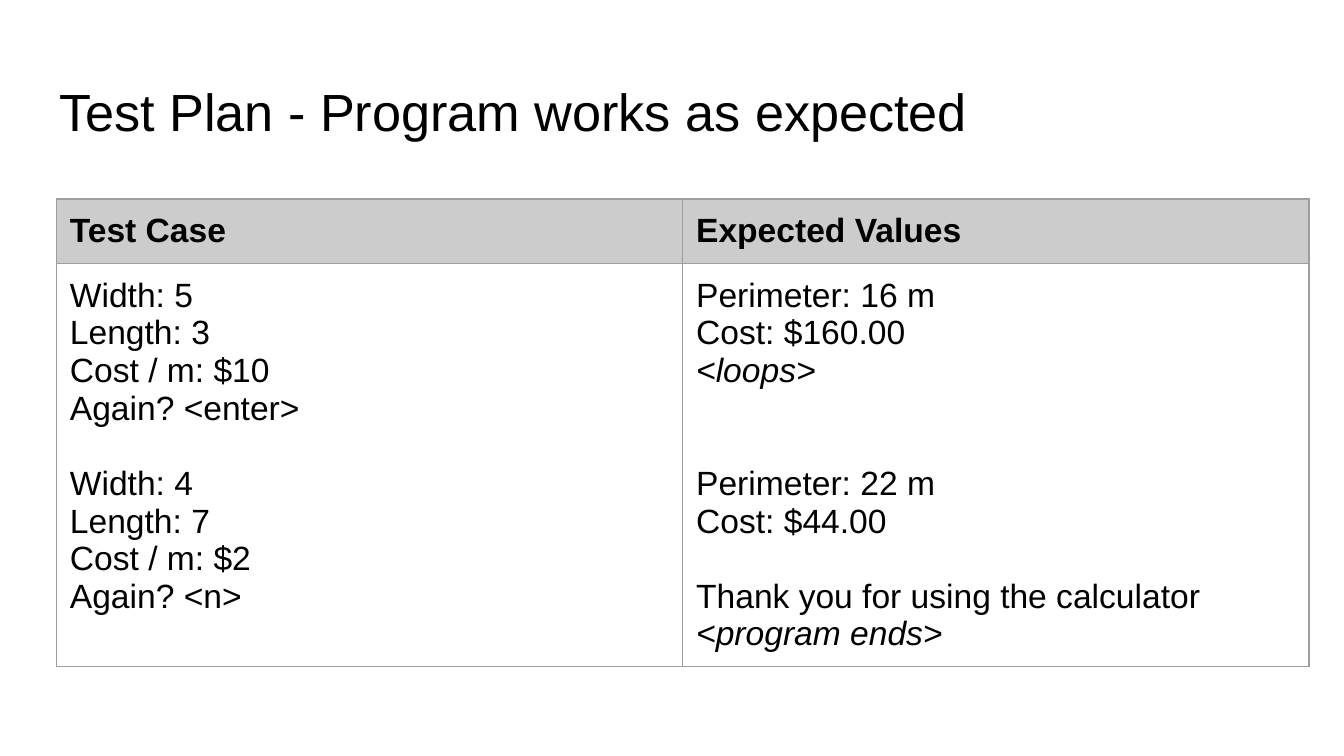
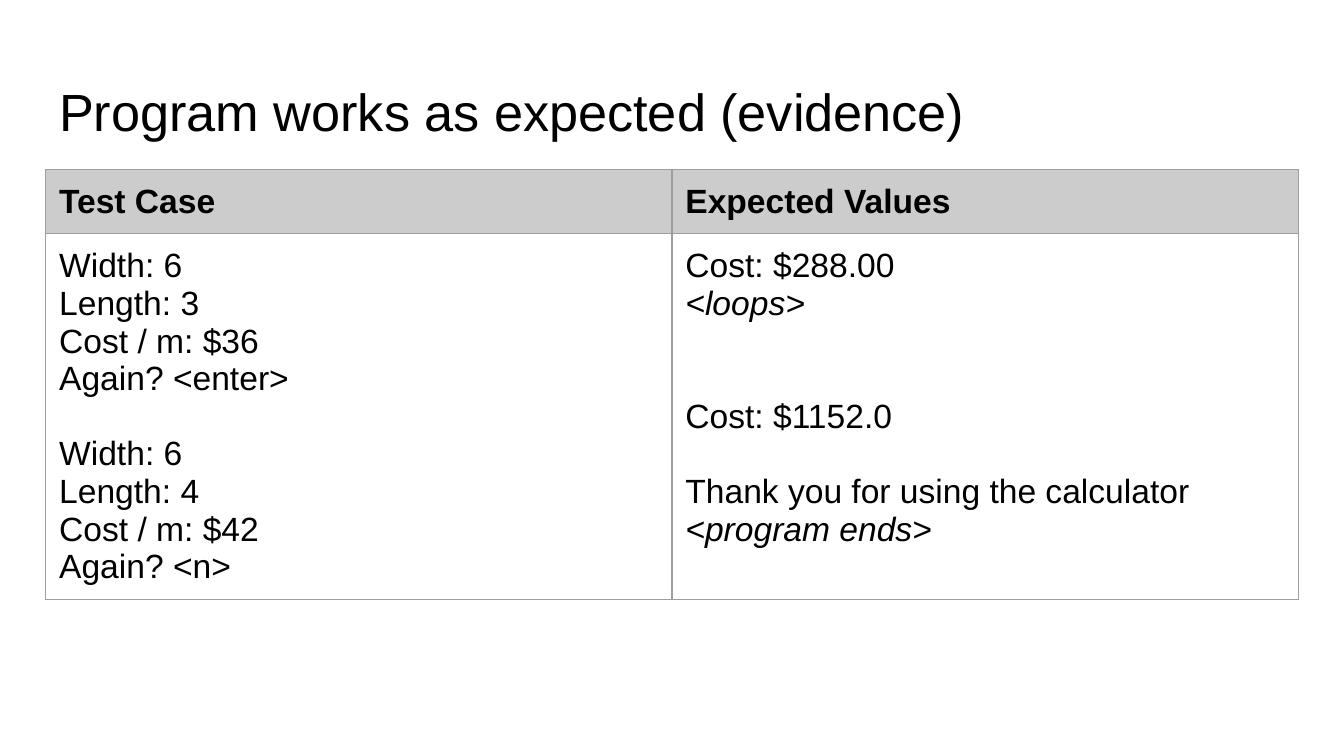
import pptx
import pptx.dml.color
import pptx.enum.text
import pptx.oxml
import pptx.oxml.ns
import pptx.util
from pptx.util import Inches

COLORS = {"text": "000000", "header": "CCCCCC", "border": "9E9E9E"}
FONT = "Arial"
TITLE_SIZE = 28
CELL_SIZE = 18
LINE_HEIGHT = 20.15  # points per line of table text
BORDER_WIDTH = 0.75
INSET = Inches(0.1)
HEADINGS = ("Test Case", "Expected Values")


def rgb(name):
    return pptx.dml.color.RGBColor.from_string(COLORS[name])


def style_paragraph(paragraph, size, bold=False, italic=False):
    paragraph.alignment = pptx.enum.text.PP_ALIGN.LEFT
    for run in paragraph.runs:
        run.font.name = FONT
        run.font.size = pptx.util.Pt(size)
        run.font.bold = bold
        run.font.italic = italic
        run.font.color.rgb = rgb("text")


def set_insets(target):
    target.margin_left = target.margin_right = INSET
    target.margin_top = target.margin_bottom = INSET


def add_title(slide, text):
    title = slide.shapes.title
    title.left, title.top = Inches(0.34), Inches(0.49)
    title.width, title.height = Inches(9.32), Inches(0.63)
    frame = title.text_frame
    frame.text = text
    frame.word_wrap = True
    frame.auto_size = pptx.enum.text.MSO_AUTO_SIZE.NONE
    frame.vertical_anchor = pptx.enum.text.MSO_ANCHOR.TOP
    set_insets(frame)
    style_paragraph(frame.paragraphs[0], TITLE_SIZE)


def add_borders(cell):
    properties = cell._tc.get_or_add_tcPr()
    for position, side in enumerate(("lnL", "lnR", "lnT", "lnB")):
        line = pptx.oxml.parse_xml(
            f'<a:{side} {pptx.oxml.ns.nsdecls("a")} w="{pptx.util.Pt(BORDER_WIDTH)}">'
            f'<a:solidFill><a:srgbClr val="{COLORS["border"]}"/></a:solidFill>'
            f'</a:{side}>'
        )
        properties.insert(position, line)


def fill_cell(cell, lines, header=False):
    """Each line is a text, or a pair of text and number of lines left free above."""
    set_insets(cell)
    cell.vertical_anchor = pptx.enum.text.MSO_ANCHOR.TOP
    if header:
        cell.fill.solid()
        cell.fill.fore_color.rgb = rgb("header")
    else:
        cell.fill.background()
    add_borders(cell)

    frame = cell.text_frame
    for index, line in enumerate(lines):
        text, gap = line if isinstance(line, tuple) else (line, 0)
        paragraph = frame.add_paragraph() if index else frame.paragraphs[0]
        paragraph.text = text
        if gap:
            paragraph.space_before = pptx.util.Pt(gap * LINE_HEIGHT)
        # Program actions such as <loops> are set in italics
        style_paragraph(paragraph, CELL_SIZE, bold=header, italic=text.startswith("<"))


def add_test_table(slide, left, top, inputs, expected):
    table = slide.shapes.add_table(
        2, 2, Inches(left), Inches(top), Inches(9.32), Inches(0.84)
    ).table
    table.first_row = False
    table.horz_banding = False
    # The rows grow with their text
    table.rows[0].height = Inches(0.41)
    table.rows[1].height = Inches(0.43)
    for column, (heading, lines) in enumerate(zip(HEADINGS, (inputs, expected))):
        fill_cell(table.cell(0, column), [heading], header=True)
        fill_cell(table.cell(1, column), lines)


def test_inputs(*runs):
    """Lines typed by the user, with a free line between two runs."""
    lines = []
    for width, length, cost, again in runs:
        lines += [
            (f"Width: {width}", 1 if lines else 0),
            f"Length: {length}",
            f"Cost / m: ${cost}",
            f"Again? <{again}>",
        ]
    return lines


def add_test_slide(prs, title, left, top, inputs, results):
    slide = prs.slides.add_slide(prs.slide_layouts[5])
    add_title(slide, title)
    first, second = results
    expected = [
        *first,
        "<loops>",
        (second[0], 2),
        *second[1:],
        ("Thank you for using the calculator", 1),
        "<program ends>",
    ]
    add_test_table(slide, left, top, inputs, expected)


def main():
    prs = pptx.Presentation()
    # Widescreen, 16:9
    prs.slide_width = Inches(10)
    prs.slide_height = prs.slide_width * 9 // 16

    # Test plan
    add_test_slide(
        prs, "Test Plan - Program works as expected", 0.42, 1.48,
        test_inputs((5, 3, 10, "enter"), (4, 7, 2, "n")),
        (["Perimeter: 16 m", "Cost: $160.00"], ["Perimeter: 22 m", "Cost: $44.00"]),
    )

    # Evidence
    add_test_slide(
        prs, "Program works as expected (evidence)", 0.34, 1.26,
        test_inputs((6, 3, 36, "enter"), (6, 4, 42, "n")),
        (["Cost: $288.00"], ["Cost: $1152.0"]),
    )

    prs.save("out.pptx")


if __name__ == "__main__":
    main()
